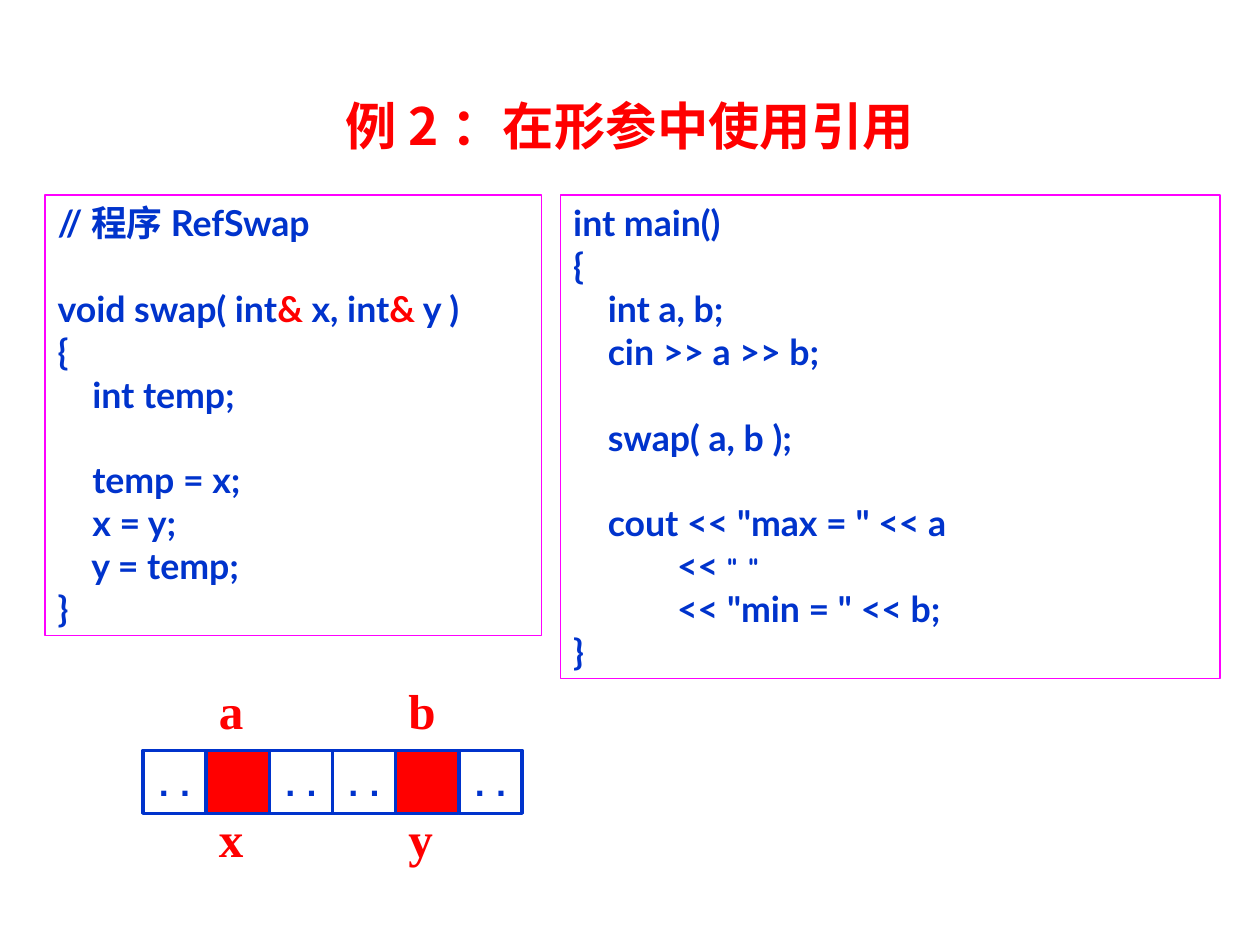
from lxml import etree
from pptx import Presentation
from pptx.dml.color import RGBColor
from pptx.enum.shapes import MSO_SHAPE
from pptx.enum.text import MSO_ANCHOR, PP_ALIGN
from pptx.oxml.ns import qn
from pptx.util import Pt

RECT = MSO_SHAPE.RECTANGLE
MIDDLE, TOP = MSO_ANCHOR.MIDDLE, MSO_ANCHOR.TOP
CENTER, LEFT = PP_ALIGN.CENTER, PP_ALIGN.LEFT
RED, BLUE, PINK = "FF0000", "0033CC", "FF00FF"
HAN, CODE, SERIF, MONO = "Noto Sans CJK SC", "Lato", "Times New Roman", "Courier New"

CELL, ROW_X, ROW_Y = 28.3, 64.1, 336.2
CELLS = ["..", None, "..", "..", None, ".."]
NAMES = [(1, "a", "x"), (4, "b", "y")]

MARKS = {"&": (CODE, 16, RED), '" "': ("Comic Neue", 14, BLUE)}
SWAP = [
    ("//程序RefSwap",),
    (),
    ("void swap( int", "&", " x, int", "&", " y )"),
    ("{",),
    ("    int temp;",),
    (),
    ("    temp = x;",),
    ("    x = y;",),
    ("    y = temp;",),
    ("}",),
]
MAIN = [
    ("int main()",),
    ("{",),
    ("    int a, b;",),
    ("    cin >> a >> b;",),
    (),
    ("    swap( a, b );",),
    (),
    ('    cout << "max = " << a',),
    ("            << ", '" "'),
    ('            << "min = " << b;',),
    ("}",),
]


def color(hex_text):
    return RGBColor.from_string(hex_text)


def style(font, name, size, tint):
    font.name = name
    font.size = Pt(size)
    font.bold = True
    font.color.rgb = color(tint)


def set_frame(shape, anchor, wrap):
    frame = shape.text_frame
    frame.word_wrap = wrap
    frame.vertical_anchor = anchor
    frame.margin_left = frame.margin_right = Pt(5.65)
    frame.margin_top = frame.margin_bottom = Pt(2.82)
    return frame


def write(frame, text, name, size, tint, align):
    para = frame.paragraphs[0]
    para.text = text
    para.alignment = align
    style(para.font, name, size, tint)


def set_han(font_owner):
    props = font_owner.find(qn("a:rPr"))
    if props is None:
        props = font_owner.find(qn("a:pPr")).find(qn("a:defRPr"))
    east = etree.SubElement(props, qn("a:ea"))
    east.set("typeface", HAN)


def add_rect(slide, box, line, width, fill=None):
    shape = slide.shapes.add_shape(RECT, *map(Pt, box))
    shape.shadow.inherit = False
    shape.line.color.rgb = color(line)
    shape.line.width = Pt(width)
    if fill:
        shape.fill.solid()
        shape.fill.fore_color.rgb = color(fill)
    else:
        shape.fill.background()
    return shape


def add_title(slide, text):
    title = slide.shapes.title
    title.left, title.top, title.width, title.height = map(Pt, (18.7, 39.6, 527, 33.1))
    frame = set_frame(title, MIDDLE, True)
    write(frame, text, HAN, 23, RED, CENTER)
    set_han(frame.paragraphs[0]._p)


def size_blank(para):
    end = etree.SubElement(para._p, qn("a:endParaRPr"), sz="1600", b="1")
    etree.SubElement(end, qn("a:latin"), typeface=CODE)


def add_code(slide, box, lines):
    frame = set_frame(add_rect(slide, box, PINK, 0.75), TOP, True)
    for index, parts in enumerate(lines):
        para = frame.add_paragraph() if index else frame.paragraphs[0]
        para.alignment = LEFT
        style(para.font, CODE, 16, BLUE)
        set_han(para._p)
        for part in parts:
            run = para.add_run()
            run.text = part
            if part in MARKS:
                style(run.font, *MARKS[part])
        if not parts:
            size_blank(para)


def add_cell(slide, index, text):
    box = (ROW_X + index * CELL, ROW_Y, CELL, CELL)
    shape = add_rect(slide, box, BLUE, 1.5, None if text else RED)
    if text:
        write(set_frame(shape, MIDDLE, False), text, MONO, 16, BLUE, CENTER)


def add_name(slide, index, top, text):
    box = (ROW_X + index * CELL, top, 24.3, 28.3)
    shape = slide.shapes.add_textbox(*map(Pt, box))
    write(set_frame(shape, MIDDLE, False), text, SERIF, 22, RED, LEFT)


def main():
    deck = Presentation()
    deck.slide_width, deck.slide_height = Pt(564.5), Pt(423.4)
    slide = deck.slides.add_slide(deck.slide_layouts[5])
    add_title(slide, "例2：在形参中使用引用")
    add_code(slide, (20.2, 87.4, 222.5, 197.4), SWAP)
    add_code(slide, (251.2, 87.4, 295.3, 216.6), MAIN)
    for index, text in enumerate(CELLS):
        add_cell(slide, index, text)
    for index, above, below in NAMES:
        add_name(slide, index, 303.8, above)
        add_name(slide, index, 361.4, below)
    deck.save("out.pptx")


if __name__ == "__main__":
    main()
